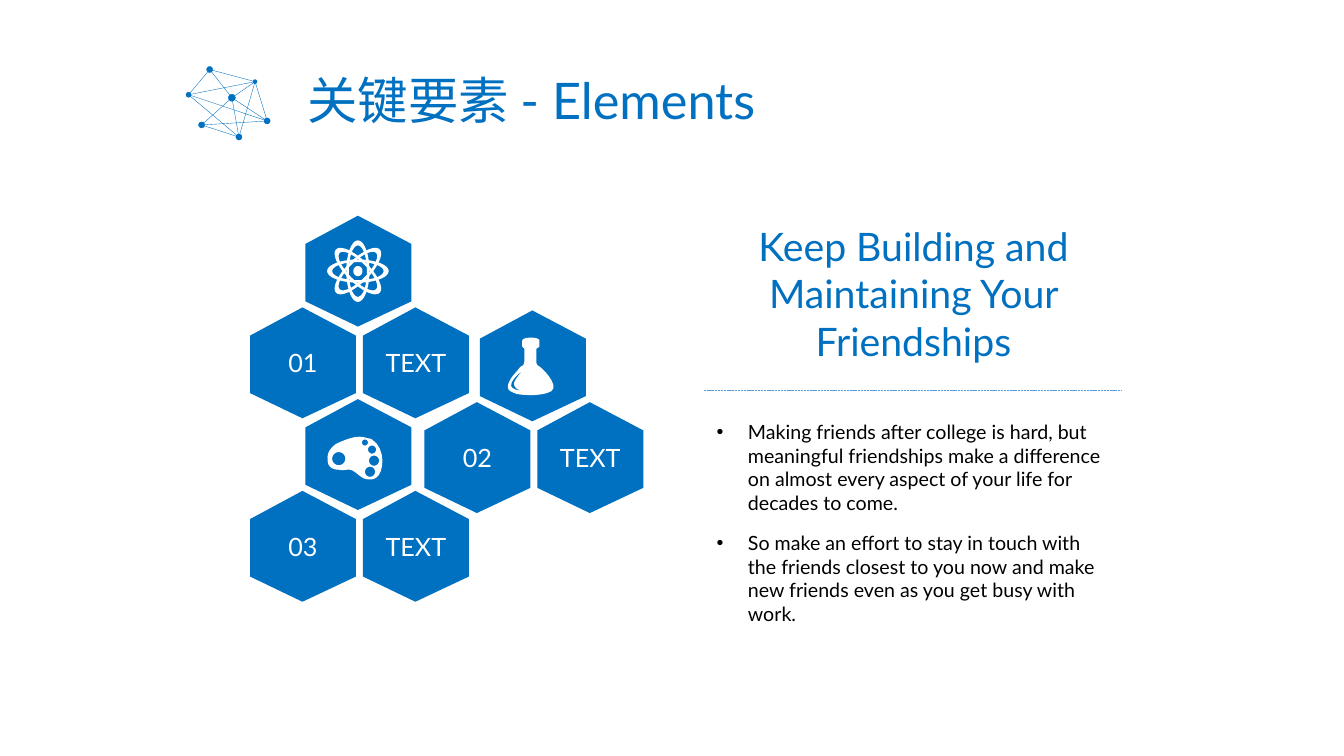
from dataclasses import dataclass
from math import cos, pi, radians, sin

from lxml import etree
from pptx import Presentation
from pptx import util as u
from pptx.dml.color import RGBColor
from pptx.enum import dml, shapes, text
from pptx.oxml import ns

BLUE = RGBColor(0x00, 0x70, 0xC0)
PALE_BLUE = RGBColor(0x5B, 0x9B, 0xD5)
WHITE = RGBColor(0xFF, 0xFF, 0xFF)
BLACK = RGBColor(0x00, 0x00, 0x00)
FONT = "Lato"

Point = tuple[float, float]
Contour = list[Point]


@dataclass
class Node:
    x: float
    y: float
    size: float


@dataclass
class Element:
    """An icon hexagon with a number and a text hexagon below it."""
    number: str
    left: float
    top: float
    icon: list[list[Contour]]


# Network emblem
NODES = {
    "top": Node(2.08, 0.69, 0.06),
    "hub": Node(2.3, 0.97, 0.07),
    "upper": Node(2.53, 0.81, 0.04),
    "lower": Node(2, 1.24, 0.06),
    "left": Node(1.87, 0.94, 0.05),
    "bottom": Node(2.37, 1.36, 0.06),
    "right": Node(2.65, 1.2, 0.06),
}
EDGES = ["top left", "top upper", "top hub", "left bottom", "right left",
         "upper left", "bottom upper", "hub bottom", "hub right", "upper hub",
         "upper right", "hub lower", "lower bottom", "right lower"]

HEXAGON = [(0.52, 1.1), (1.05, 0.85), (1.05, 0.28), (0.52, 0), (0, 0.28), (0, 0.85)]
NUMBER_OFFSET = (-0.55, 0.91)
TEXT_OFFSET = (0.57, 0.91)

BULLETS = [
    "Making friends after college is hard, but meaningful friendships make a "
    "difference on almost every aspect of your life for decades to come.",
    "So make an effort to stay in touch with the friends closest to you now and "
    "make new friends even as you get busy with work.",
]


# Outline geometry
def ellipse(x: float, y: float, width: float, height: float, turn: float = 0) -> Contour:
    angle, points = radians(turn), []
    for step in range(48):
        across = width / 2 * cos(step * pi / 24)
        down = height / 2 * sin(step * pi / 24)
        points.append((x + across * cos(angle) - down * sin(angle),
                       y + across * sin(angle) + down * cos(angle)))
    return points


def curve(start: Point, *pieces: tuple) -> Contour:
    """Join lines (x, y) and Bezier pieces (x1, y1, x2, y2, x, y)."""
    points = [start]
    for piece in pieces:
        if len(piece) == 2:
            points.append(piece)
            continue
        x0, y0 = points[-1]
        x1, y1, x2, y2, x3, y3 = piece
        for step in range(1, 9):
            t = step / 8
            a, b, c, d = (1 - t) ** 3, 3 * t * (1 - t) ** 2, 3 * t * t * (1 - t), t ** 3
            points.append((a * x0 + b * x1 + c * x2 + d * x3,
                           a * y0 + b * y1 + c * y2 + d * y3))
    return points


# Icons: lists of shapes, each a list of contours with holes
ATOM = [[ellipse(3.55, 2.69, 0.61, 0.23, turn), ellipse(3.55, 2.69, 0.51, 0.18, turn)]
        for turn in (0, 45, 90, 135)] + [[ellipse(3.55, 2.69, 0.09, 0.1)]]

FLASK = [[
    curve((5.18, 3.63), (5.18, 3.63, 5.2, 3.62, 5.2, 3.59), (5.2, 3.46), (5.18, 3.44),
          (5.18, 3.38), (5.18, 3.36, 5.22, 3.35, 5.27, 3.35),
          (5.31, 3.35, 5.35, 3.36, 5.35, 3.38), (5.35, 3.44), (5.32, 3.46), (5.32, 3.59),
          (5.32, 3.62, 5.34, 3.63, 5.34, 3.63), (5.37, 3.64, 5.55, 3.82, 5.47, 3.88),
          (5.4, 3.92, 5.29, 3.92, 5.26, 3.92), (5.25, 3.92, 5.19, 3.92, 5.13, 3.91),
          (5.1, 3.9, 5.08, 3.89, 5.06, 3.88), (5, 3.84, 5.07, 3.74, 5.13, 3.68),
          (5.15, 3.65, 5.17, 3.63, 5.18, 3.63)),
    curve((5.18, 3.68), (5.18, 3.68, 5.07, 3.76, 5.07, 3.82),
          (5.07, 3.85, 5.1, 3.86, 5.13, 3.87), (5.19, 3.88),
          (5.19, 3.88, 5.11, 3.87, 5.1, 3.82), (5.09, 3.79, 5.13, 3.74, 5.18, 3.68)),
]]

PALETTE = [[
    curve((3.25, 4.57), (3.23, 4.46, 3.34, 4.4, 3.34, 4.4),
          (3.47, 4.34, 3.55, 4.32, 3.62, 4.34), (3.65, 4.35, 3.68, 4.35, 3.69, 4.36),
          (3.83, 4.45, 3.81, 4.69, 3.73, 4.74), (3.7, 4.76, 3.66, 4.76, 3.62, 4.75),
          (3.56, 4.73, 3.51, 4.65, 3.45, 4.66), (3.42, 4.66, 3.39, 4.67, 3.36, 4.66),
          (3.3, 4.66, 3.25, 4.63, 3.25, 4.57)),
    *(ellipse(x, y, size, size) for x, y, size in [
        (3.36, 4.55, 0.13), (3.62, 4.39, 0.06), (3.69, 4.46, 0.08),
        (3.71, 4.57, 0.1), (3.67, 4.68, 0.1)]),
]]

ELEMENTS = [
    Element("01", 3.03, 2.14, ATOM),
    Element("02", 4.76, 3.08, FLASK),
    Element("03", 3.03, 3.96, PALETTE),
]


# Drawing helpers
def format_text(paragraph, size: float, color: RGBColor, align=text.PP_ALIGN.CENTER) -> None:
    paragraph.alignment = align
    for run in paragraph.runs:
        run.font.name, run.font.size = FONT, u.Pt(size)
        run.font.color.rgb = color


def add_outline(slide, contours: list[Contour], color: RGBColor):
    scaled = [[(u.Inches(x), u.Inches(y)) for x, y in contour] for contour in contours]
    builder = slide.shapes.build_freeform(*scaled[0][0])
    builder.add_line_segments(scaled[0][1:])
    for contour in scaled[1:]:
        builder.move_to(*contour[0])
        builder.add_line_segments(contour[1:])
    shape = builder.convert_to_shape()
    shape.shadow.inherit = False
    shape.fill.solid()
    shape.fill.fore_color.rgb = color
    shape.line.fill.background()
    return shape


def add_hexagon(slide, left: float, top: float, label: str = "") -> None:
    shape = add_outline(slide, [[(left + x, top + y) for x, y in HEXAGON]], BLUE)
    if label:
        shape.text_frame.text = label
        shape.text_frame.vertical_anchor = text.MSO_ANCHOR.MIDDLE
        format_text(shape.text_frame.paragraphs[0], 18, WHITE)


def add_line(slide, start: Point, end: Point, color: RGBColor, width: float):
    line = slide.shapes.add_connector(
        shapes.MSO_CONNECTOR.STRAIGHT, *(u.Inches(value) for value in start + end))
    line.line.color.rgb, line.line.width = color, u.Pt(width)
    etree.SubElement(line._element.spPr, ns.qn("a:effectLst"))
    return line


def add_node(slide, node: Node) -> None:
    shape = slide.shapes.add_shape(
        shapes.MSO_SHAPE.OVAL, u.Inches(node.x - node.size / 2),
        u.Inches(node.y - node.size / 2), u.Inches(node.size), u.Inches(node.size))
    shape.shadow.inherit = False
    shape.fill.solid()
    shape.fill.fore_color.rgb = shape.line.color.rgb = BLUE
    shape.line.width = u.Pt(0.25)


def add_text_box(slide, left: float, top: float, width: float, height: float, content: str):
    box = slide.shapes.add_textbox(*(u.Inches(value) for value in (left, top, width, height)))
    box.text_frame.word_wrap = True
    box.text_frame.text = content
    return box.text_frame.paragraphs


def main() -> None:
    presentation = Presentation()
    presentation.slide_width, presentation.slide_height = u.Inches(13.33), u.Inches(7.5)
    slide = presentation.slides.add_slide(presentation.slide_layouts[5])

    # Title
    title = slide.shapes.title
    title.left, title.top = u.Inches(2.95), u.Inches(0.59)
    title.width, title.height = u.Inches(7.93), u.Inches(0.86)
    title.text_frame.text = "关键要素 - Elements"
    title.text_frame.auto_size = text.MSO_AUTO_SIZE.NONE
    title.text_frame.vertical_anchor = text.MSO_ANCHOR.MIDDLE
    title.text_frame.paragraphs[0].line_spacing = 0.9
    format_text(title.text_frame.paragraphs[0], 36, BLUE, text.PP_ALIGN.LEFT)

    # Network emblem
    for edge in EDGES:
        start, end = (NODES[name] for name in edge.split())
        add_line(slide, (start.x, start.y), (end.x, end.y), BLUE, 0.25)
    for node in NODES.values():
        add_node(slide, node)

    # Honeycomb
    for element in ELEMENTS:
        add_hexagon(slide, element.left, element.top)
        for contours in element.icon:
            add_outline(slide, contours, WHITE)
        for label, (right, down) in ((element.number, NUMBER_OFFSET), ("TEXT", TEXT_OFFSET)):
            add_hexagon(slide, element.left + right, element.top + down, label)

    # Heading, divider and bullets
    heading = add_text_box(slide, 7.23, 2.16, 3.66, 1.51,
                           "Keep Building and Maintaining Your Friendships")
    format_text(heading[0], 28, BLUE)
    divider = add_line(slide, (6.98, 3.87), (11.13, 3.87), PALE_BLUE, 0.5)
    divider.line.dash_style = dml.MSO_LINE.SQUARE_DOT
    for paragraph in add_text_box(slide, 7.01, 4.12, 4.12, 1.92, "\n".join(BULLETS)):
        format_text(paragraph, 14, BLACK, text.PP_ALIGN.LEFT)
        paragraph.space_before = u.Pt(12)
        properties = paragraph._p.get_or_add_pPr()
        properties.set("marL", str(u.Inches(0.31)))
        properties.set("indent", str(-u.Inches(0.31)))
        etree.SubElement(properties, ns.qn("a:buFont"), typeface="Arial")
        etree.SubElement(properties, ns.qn("a:buChar"), char="•")

    presentation.save("out.pptx")


if __name__ == "__main__":
    main()
